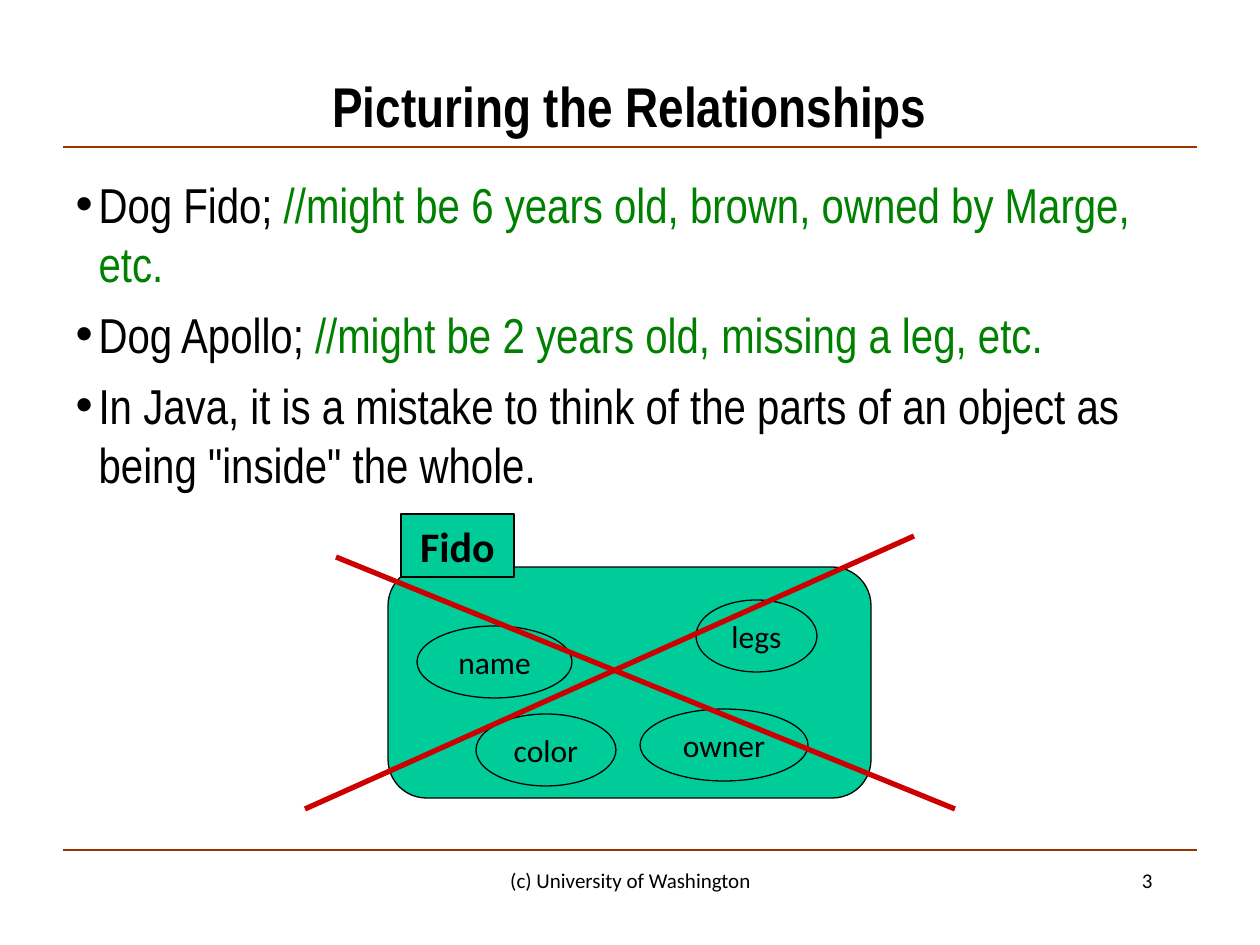
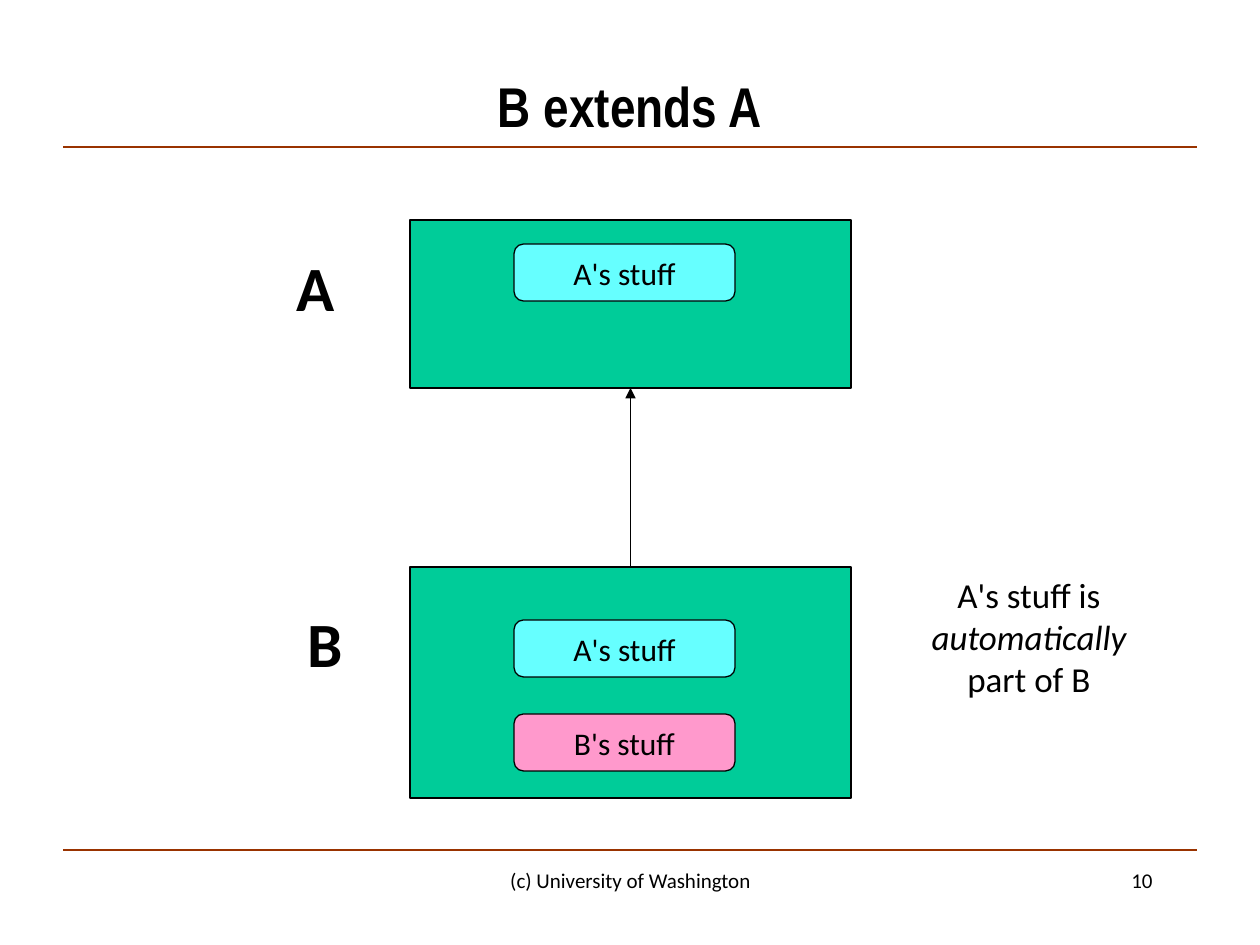
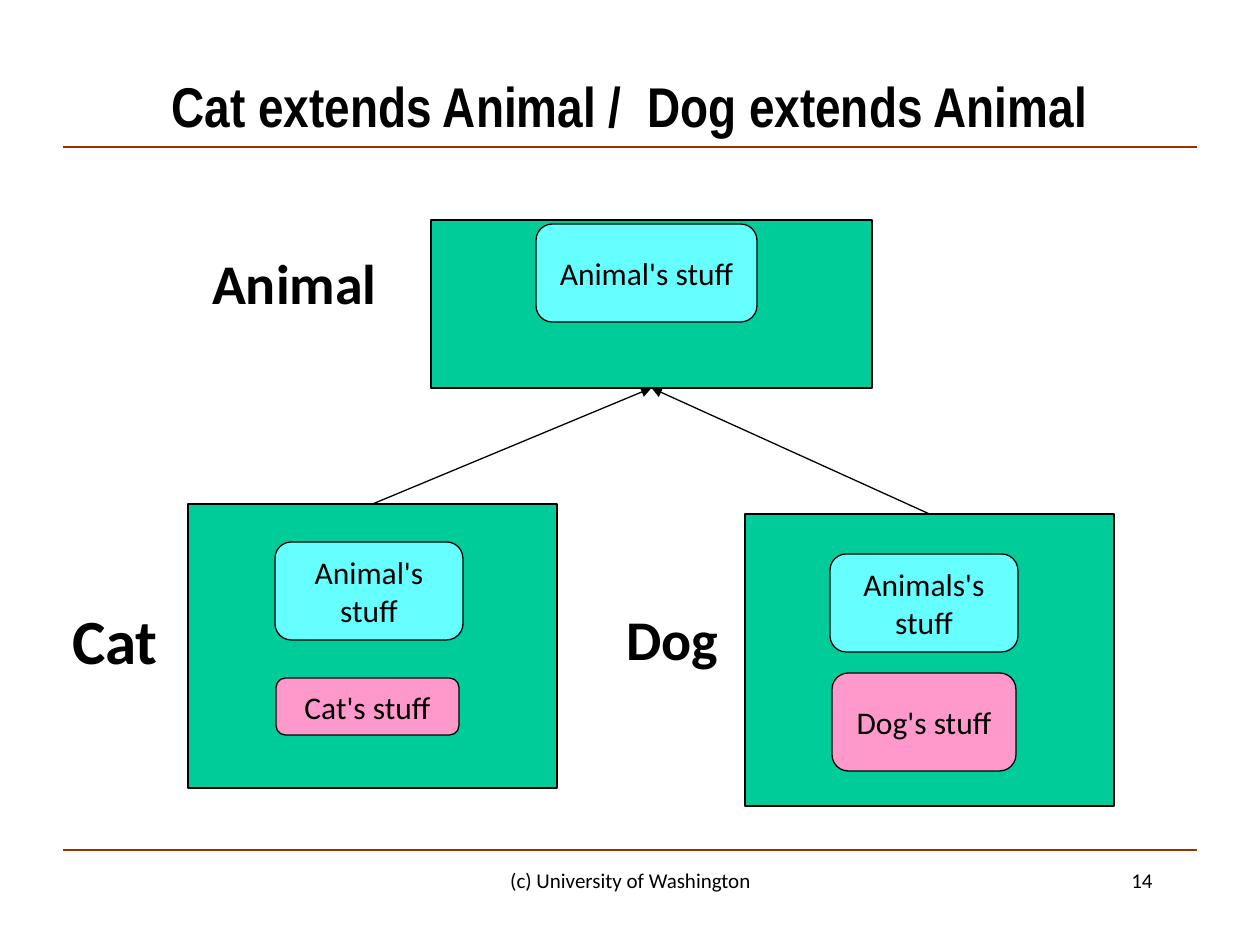
from lxml import etree
from pptx import Presentation
from pptx.dml.color import RGBColor
from pptx.enum.shapes import MSO_CONNECTOR, MSO_SHAPE
from pptx.enum.text import MSO_ANCHOR, MSO_AUTO_SIZE, PP_ALIGN
from pptx.oxml.ns import qn
from pptx.util import Emu, Pt

RECT, ROUND, OVAL = MSO_SHAPE.RECTANGLE, MSO_SHAPE.ROUNDED_RECTANGLE, MSO_SHAPE.OVAL
STRAIGHT = MSO_CONNECTOR.STRAIGHT
TOP, MIDDLE = MSO_ANCHOR.TOP, MSO_ANCHOR.MIDDLE
CENTER, RIGHT = PP_ALIGN.CENTER, PP_ALIGN.RIGHT
FIXED = MSO_AUTO_SIZE.NONE
BLACK = RGBColor(0, 0, 0)
RUST = RGBColor(0x99, 0x33, 0x00)
RED = RGBColor(0xCC, 0x00, 0x00)
MINT = RGBColor(0x00, 0xCC, 0x99)
CYAN = RGBColor(0x66, 0xFF, 0xFF)
PINK = RGBColor(0xFF, 0x99, 0xCC)
GREEN = RGBColor(0x00, 0x80, 0x00)
HEAD, BODY = "Arial Narrow", "Calibri"
PX = 914400 / 126


def box(page, kind, rect, text="", fill=None, size=18, bold=False, align=CENTER, wrap=True):
    place = [Emu(round(v * PX)) for v in rect]
    if kind is None:
        shape = page.shapes.add_textbox(*place)
    else:
        shape = page.shapes.add_shape(kind, *place)
        shape.shadow.inherit = False
        shape.fill.solid()
        shape.fill.fore_color.rgb = fill
        shape.line.color.rgb = BLACK
        shape.line.width = Pt(0.75)
    frame = shape.text_frame
    frame.word_wrap = wrap
    frame.vertical_anchor = TOP if kind is None else MIDDLE
    if text:
        para = frame.paragraphs[0]
        para.text = text
        para.alignment = align
        font = para.font
        font.name, font.size, font.bold = BODY, Pt(size), bold
        font.color.rgb = BLACK
    return shape


def link(page, ends=(0, 0, 0, 0), color=BLACK, width=0.75, child=None, parent=None):
    line = page.shapes.add_connector(STRAIGHT, *[Emu(round(v * PX)) for v in ends])
    line.line.color.rgb = color
    line.line.width = Pt(width)
    if child is not None:
        line.begin_connect(child, 0)
        line.end_connect(parent, 2)
        etree.SubElement(line.line._get_or_add_ln(), qn("a:tailEnd"), type="triangle")
    etree.SubElement(line._element.spPr, qn("a:effectLst"))


deck = Presentation()
deck.slide_width = Emu(round(1260 * PX))
deck.slide_height = Emu(round(945 * PX))

pages = []
for title, number, layout in [
    ("Picturing the Relationships", 3, 1),
    ("B extends A", 10, 5),
    ("Cat extends Animal /  Dog extends Animal", 14, 5),
]:
    page = deck.slides.add_slide(deck.slide_layouts[layout])
    pages.append(page)
    head = page.shapes.title
    head.left, head.top, head.width, head.height = [Emu(round(v * PX)) for v in (63, 63, 1134, 84)]
    head.text_frame.text = title
    head.text_frame.auto_size = FIXED
    head.text_frame.vertical_anchor = MIDDLE
    para = head.text_frame.paragraphs[0]
    para.alignment = CENTER
    para.font.name, para.font.size, para.font.bold = HEAD, Pt(32), True
    para.font.color.rgb = BLACK
    for y in (147, 850):
        link(page, (63, y, 1197, y), RUST)
    box(page, None, (431, 861, 399, 63), "(c) University of Washington", size=12)
    box(page, None, (903, 861, 262, 63), str(number), size=12, align=RIGHT)

inside, extends, family = pages

body = inside.placeholders[1]
body.left, body.top, body.width, body.height = [Emu(round(v * PX)) for v in (63, 168, 1134, 672)]
frame = body.text_frame
frame.auto_size = FIXED
for i, (code, note) in enumerate([
    ("Dog Fido; ", "//might be 6 years old, brown, owned by Marge, etc."),
    ("Dog Apollo; ", "//might be 2 years old, missing a leg, etc."),
    ('In Java, it is a mistake to think of the parts of an object as being "inside" the whole.', ""),
]):
    para = frame.add_paragraph() if i else frame.paragraphs[0]
    para.space_before = Pt(7 if i else 0)
    props = para._p.get_or_add_pPr()
    indent = round(23 * PX)
    props.set("marL", str(indent))
    props.set("indent", str(-indent))
    etree.SubElement(props, qn("a:buChar"), char="•")
    para.font.name, para.font.size = HEAD, Pt(28)
    para.font.color.rgb = BLACK
    for text, color in ((code, BLACK), (note, GREEN)):
        if text:
            run = para.add_run()
            run.text = text
            run.font.color.rgb = color

box(inside, ROUND, (388, 567, 483, 231), fill=MINT)
for text, x, y, width in [
    ("name", 417, 626, 155),
    ("legs", 696, 600, 121),
    ("owner", 640, 709, 168),
    ("color", 476, 714, 140),
]:
    box(inside, OVAL, (x, y, width, 72), text, MINT, wrap=False)
box(inside, RECT, (401, 514, 113, 63), "Fido", MINT, 24, True, wrap=False)
for ends in ((336, 557, 955, 809), (914, 536, 305, 809)):
    link(inside, ends, RED, 3)

base = box(extends, RECT, (410, 220, 441, 168), fill=MINT)
child = box(extends, RECT, (410, 567, 441, 231), fill=MINT)
link(extends, child=child, parent=base)
for text, x, y in (("A", 284, 242), ("B", 294, 598)):
    box(extends, None, (x, y, 63, 88), text, size=36, bold=True)
for text, y, fill in (("A's stuff", 244, CYAN), ("A's stuff", 620, CYAN), ("B's stuff", 714, PINK)):
    box(extends, ROUND, (514, y, 221, 57), text, fill)
note = box(extends, None, (903, 567, 252, 139), "A's stuff is ", size=20)
para = note.text_frame.paragraphs[0]
for text, slant in (("automatically ", True), ("part of B", False)):
    run = para.add_run()
    run.text = text
    run.font.italic = slant

base = box(family, RECT, (431, 220, 441, 168), fill=MINT)
for rect in ((188, 504, 369, 284), (745, 514, 369, 292)):
    child = box(family, RECT, rect, fill=MINT)
    link(family, child=child, parent=base)
for text, rect, size in [
    ("Animal", (179, 242, 231, 81), 32),
    ("Cat", (42, 595, 146, 88), 36),
    ("Dog", (599, 598, 147, 81), 32),
]:
    box(family, None, rect, text, size=size, bold=True)
for text, rect, fill in [
    ("Animal's stuff", (536, 224, 221, 98), CYAN),
    ("Animal's stuff", (275, 542, 188, 98), CYAN),
    ("Cat's stuff", (276, 678, 183, 57), PINK),
    ("Animals's stuff", (830, 554, 188, 98), CYAN),
    ("Dog's stuff", (832, 673, 184, 98), PINK),
]:
    box(family, ROUND, rect, text, fill)

deck.save("out.pptx")
